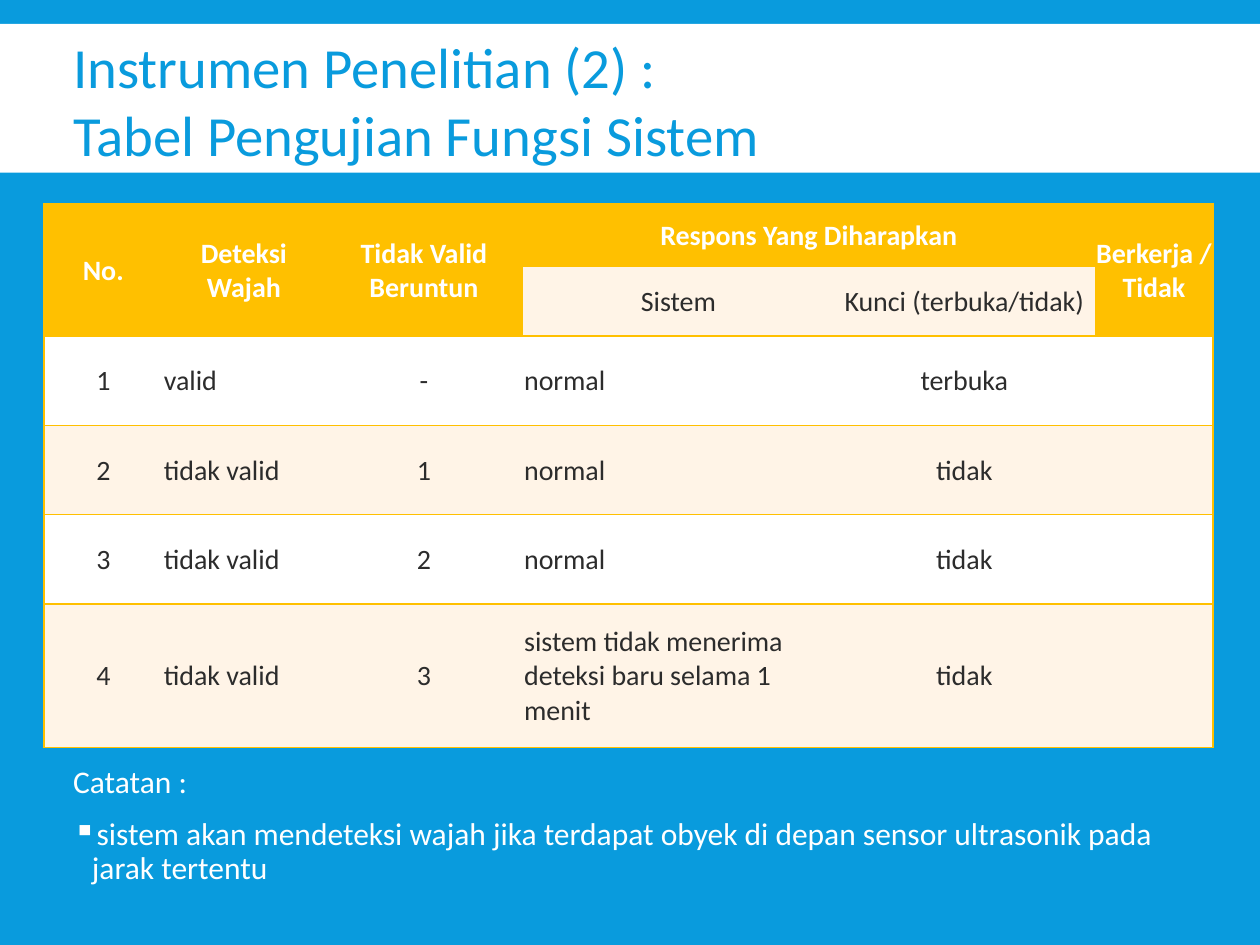
"""Build the slide with the table of system function tests."""
from lxml.etree import SubElement
from pptx import Presentation
from pptx.dml.color import RGBColor
from pptx.enum.shapes import MSO_SHAPE
from pptx.enum.text import MSO_ANCHOR, PP_ALIGN
from pptx.oxml.ns import qn
from pptx.util import Pt

BLUE, GOLD, CREAM, WHITE, DARK = "099BDD", "FFC000", "FFF4E7", "FFFFFF", "2C2C2C"
TITLE = "Instrumen Penelitian (2) :\nTabel Pengujian Fungsi Sistem"
HEADERS = [
    ["No.", "Deteksi Wajah", "Tidak Valid Beruntun", "Respons Yang Diharapkan", "", "Berkerja / Tidak"],
    ["", "", "", "Sistem", "Kunci (terbuka/tidak)", ""],
]
TESTS = [
    ["1", "valid", "-", "normal", "terbuka", ""],
    ["2", "tidak valid", "1", "normal", "tidak", ""],
    ["3", "tidak valid", "2", "normal", "tidak", ""],
    ["4", "tidak valid", "3", "sistem tidak menerima deteksi baru selama 1 menit", "tidak", ""],
]
NOTE_HEADING = "Catatan :"
NOTE = "sistem akan mendeteksi wajah jika terdapat obyek di depan sensor ultrasonik pada jarak tertentu"
COLUMN_WIDTHS = [67.7, 92.9, 113, 177.8, 149, 67.7]
ROW_HEIGHTS = [36, 39.5, 51, 51, 51, 82]
MERGES = [((0, 0), (1, 0)), ((0, 1), (1, 1)), ((0, 2), (1, 2)), ((0, 3), (0, 4)), ((0, 5), (1, 5))]
LEFT_COLUMNS = (1, 3)
SUBHEADER_COLUMNS = (3, 4)
MARGIN, CONTENT_WIDTH = 34.7, 650.6


def rgb(value):
    """Turn a hex string into a colour."""
    return RGBColor.from_string(value)


def write(paragraph, text, size=16, color=DARK, bold=False, align=PP_ALIGN.LEFT):
    """Put formatted text into a paragraph."""
    paragraph.text = text
    paragraph.alignment = align
    for run in paragraph.runs:
        run.font.name = "Calibri"
        run.font.size = Pt(size)
        run.font.bold = bold
        run.font.color.rgb = rgb(color)


def add_frame(slide, top, height, anchor):
    """Add a wrapping text box across the content width."""
    frame = slide.shapes.add_textbox(Pt(MARGIN), Pt(top), Pt(CONTENT_WIDTH), Pt(height)).text_frame
    frame.word_wrap = True
    frame.vertical_anchor = anchor
    return frame


def set_borders(cell, gold_sides):
    """Draw gold lines on the named sides and none on the others."""
    properties = cell._tc.get_or_add_tcPr()
    for side in "LRTB":
        line = SubElement(properties, qn(f"a:ln{side}"), w=str(Pt(1)))
        if side in gold_sides:
            SubElement(SubElement(line, qn("a:solidFill")), qn("a:srgbClr"), val=GOLD)
        else:
            SubElement(line, qn("a:noFill"))


def style_cell(cell, row, column, text):
    """Fill one table cell according to its place in the grid."""
    is_subheader = row == 1 and column in SUBHEADER_COLUMNS
    is_header = row < len(HEADERS) and not is_subheader
    is_left = row >= len(HEADERS) and column in LEFT_COLUMNS
    fill = GOLD if is_header else CREAM if row % 2 else WHITE
    sides = "B" if is_subheader else "TB"
    sides += {0: "L", len(COLUMN_WIDTHS) - 1: "R"}.get(column, "")
    set_borders(cell, sides)
    cell.fill.solid()
    cell.fill.fore_color.rgb = rgb(fill)
    cell.vertical_anchor = MSO_ANCHOR.MIDDLE
    cell.margin_left = cell.margin_right = cell.margin_top = Pt(0.75)
    cell.margin_bottom = 0
    write(cell.text_frame.paragraphs[0], text, color=WHITE if is_header else DARK,
          bold=is_header, align=PP_ALIGN.LEFT if is_left else PP_ALIGN.CENTER)


def add_tests(slide):
    """Add the test table."""
    rows = HEADERS + TESTS
    table = slide.shapes.add_table(len(rows), len(COLUMN_WIDTHS), Pt(25.2), Pt(116.6),
                                   Pt(sum(COLUMN_WIDTHS)), Pt(sum(ROW_HEIGHTS))).table
    for column, width in zip(table.columns, COLUMN_WIDTHS):
        column.width = Pt(width)
    for row, height in zip(table.rows, ROW_HEIGHTS):
        row.height = Pt(height)
    for row, texts in enumerate(rows):
        for column, text in enumerate(texts):
            style_cell(table.cell(row, column), row, column, text)
    for first, last in MERGES:
        table.cell(*first).merge(table.cell(*last))


def add_notes_text(slide):
    """Add the remark below the table."""
    frame = add_frame(slide, 434.2, 83.5, MSO_ANCHOR.TOP)
    heading, remark = frame.paragraphs[0], frame.add_paragraph()
    for paragraph, text in ((heading, NOTE_HEADING), (remark, NOTE)):
        write(paragraph, text, size=18, color=WHITE)
        paragraph.line_spacing = 0.9
        paragraph.space_before = Pt(9)
        paragraph.space_after = Pt(1.5)
    properties = remark._p.get_or_add_pPr()
    properties.set("marL", str(Pt(10.8)))
    properties.set("indent", str(Pt(-10.8)))
    SubElement(SubElement(properties, qn("a:buClr")), qn("a:srgbClr"), val=WHITE)
    SubElement(properties, qn("a:buChar"), char="▪")


def main():
    """Build and save the slide."""
    deck = Presentation()
    deck.slide_width, deck.slide_height = Pt(720), Pt(540)
    slide = deck.slides.add_slide(deck.slide_layouts[6])
    slide.background.fill.solid()
    slide.background.fill.fore_color.rgb = rgb(BLUE)
    band = slide.shapes.add_shape(MSO_SHAPE.RECTANGLE, 0, Pt(13.7), Pt(720), Pt(85))
    band.shadow.inherit = False
    band.fill.solid()
    band.fill.fore_color.rgb = rgb(WHITE)
    band.line.fill.background()
    title = add_frame(slide, 22.3, 69.1, MSO_ANCHOR.MIDDLE)
    write(title.paragraphs[0], TITLE, size=32.4, color=BLUE)
    add_tests(slide)
    add_notes_text(slide)
    deck.save("out.pptx")


if __name__ == "__main__":
    main()
